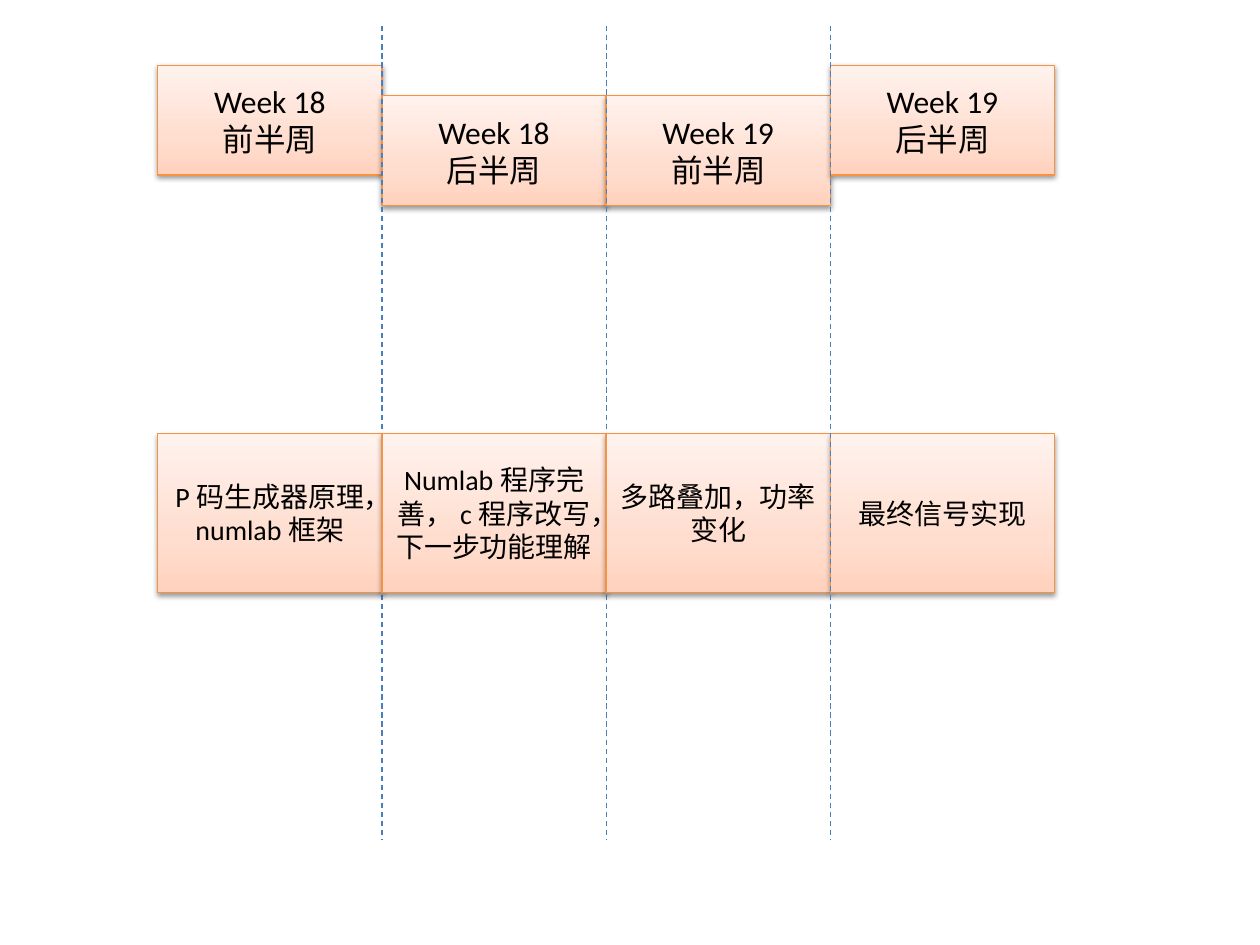
from dataclasses import dataclass

from lxml import etree
from pptx import Presentation
from pptx.dml.color import RGBColor
from pptx.enum.dml import MSO_LINE
from pptx.enum.shapes import MSO_CONNECTOR, MSO_SHAPE
from pptx.enum.text import MSO_ANCHOR, PP_ALIGN
from pptx.oxml import parse_xml
from pptx.oxml.ns import nsdecls, qn
from pptx.util import Cm, Pt

RECTANGLE = MSO_SHAPE.RECTANGLE
STRAIGHT = MSO_CONNECTOR.STRAIGHT
DASH = MSO_LINE.DASH
MIDDLE = MSO_ANCHOR.MIDDLE
CENTER = PP_ALIGN.CENTER

BLACK = RGBColor(0x00, 0x00, 0x00)
ORANGE = RGBColor(0xF6, 0x92, 0x40)
BLUE = RGBColor(0x4B, 0x7E, 0xBC)
PEACH_STOPS = (
    (0, RGBColor(0xFF, 0xD2, 0xBD)),
    (35, RGBColor(0xFF, 0xDE, 0xD0)),
    (100, RGBColor(0xFF, 0xF2, 0xED)),
)

FONT = "Calibri"
LEFT, COLUMN_WIDTH = 3.18, 4.52
OUTER_TOP, INNER_TOP, WEEK_HEIGHT = 1.32, 1.93, 2.21
TASK_TOP, TASK_HEIGHT = 8.74, 3.2
DIVIDER_TOP, DIVIDER_BOTTOM = 0.53, 16.92
# Divider edge drawn directly after the task box of each column
DIVIDER_AFTER = {0: 1, 1: 2, 3: 3}


@dataclass
class Stage:
    """One half week of the plan."""
    week: str
    half: str
    week_top: float
    task: str


STAGES = [
    Stage("Week 18", "前半周", OUTER_TOP, "P码生成器原理，numlab框架"),
    Stage("Week 18", "后半周", INNER_TOP, "Numlab程序完善，c程序改写，下一步功能理解"),
    Stage("Week 19", "前半周", INNER_TOP, "多路叠加，功率变化"),
    Stage("Week 19", "后半周", OUTER_TOP, "最终信号实现"),
]


def edge(column: int) -> float:
    """Return the left edge of a column in centimetres."""
    return LEFT + column * COLUMN_WIDTH


def fill_peach(sp) -> None:
    """Fill a shape with the three-stop gradient, darkest at the bottom."""
    sp.fill.gradient()
    sp.fill.gradient_angle = 90
    stops = sp._element.spPr.find(".//" + qn("a:gsLst"))
    for stop in list(stops):
        stops.remove(stop)
    for position, color in PEACH_STOPS:
        stops.append(parse_xml(
            f'<a:gs {nsdecls("a")} pos="{position * 1000}">'
            f'<a:srgbClr val="{color}"/></a:gs>'))


def add_shadow(sp) -> None:
    """Give a shape a soft shadow below it."""
    sp.shadow.inherit = False
    effects = sp._element.spPr.find(qn("a:effectLst"))
    effects.append(parse_xml(
        f'<a:outerShdw {nsdecls("a")} blurRad="{Pt(3.15)}" dist="{Pt(1.57)}" '
        'dir="5400000" rotWithShape="0"><a:srgbClr val="000000">'
        '<a:alpha val="38000"/></a:srgbClr></a:outerShdw>'))


def add_box(slide, column: int, top: float, height: float,
            lines: list[str], size: int) -> None:
    """Draw a gradient box with centred text in a column."""
    sp = slide.shapes.add_shape(RECTANGLE, Cm(edge(column)), Cm(top),
                                Cm(COLUMN_WIDTH), Cm(height))
    fill_peach(sp)
    sp.line.color.rgb = ORANGE
    sp.line.width = Pt(0.75)
    add_shadow(sp)
    tf = sp.text_frame
    tf.word_wrap = True
    tf.vertical_anchor = MIDDLE
    tf.text = "\n".join(lines)
    for p in tf.paragraphs:
        p.alignment = CENTER
        p.font.name = FONT
        p.font.size = Pt(size)
        p.font.color.rgb = BLACK


def add_divider(slide, column: int) -> None:
    """Draw a dashed vertical line at the left edge of a column."""
    x = Cm(edge(column))
    line = slide.shapes.add_connector(STRAIGHT, x, Cm(DIVIDER_TOP),
                                      x, Cm(DIVIDER_BOTTOM))
    line.line.color.rgb = BLUE
    line.line.width = Pt(0.75)
    line.line.dash_style = DASH
    etree.SubElement(line._element.spPr, qn("a:effectLst"))


prs = Presentation()
prs.slide_width, prs.slide_height = Cm(25.4), Cm(19.05)
s = prs.slides.add_slide(prs.slide_layouts[6])

for i, stage in enumerate(STAGES):
    add_box(s, i, stage.week_top, WEEK_HEIGHT, [stage.week, stage.half], 18)
for i, stage in enumerate(STAGES):
    add_box(s, i, TASK_TOP, TASK_HEIGHT, [stage.task], 16)
    if i in DIVIDER_AFTER:
        add_divider(s, DIVIDER_AFTER[i])

prs.save("out.pptx")
